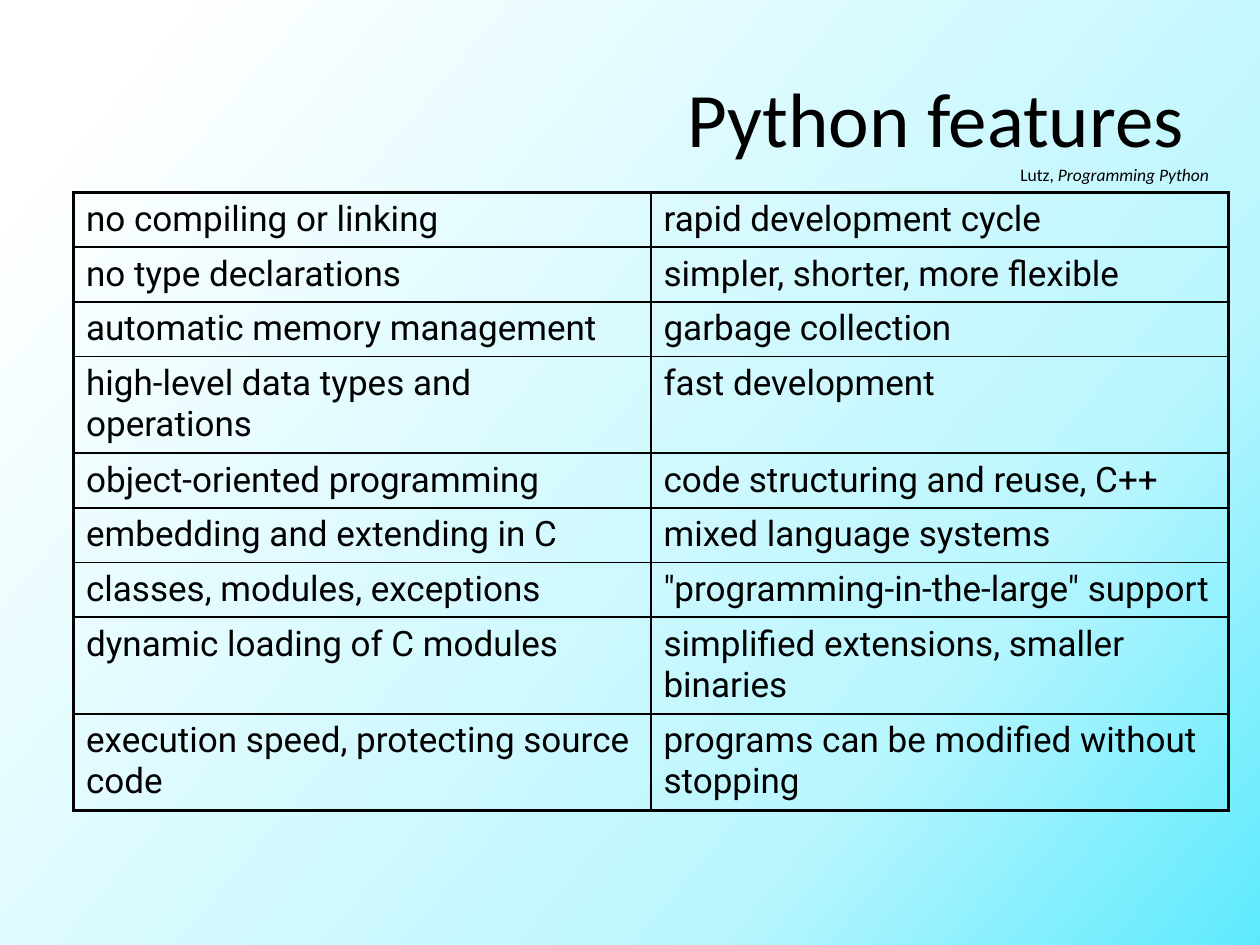
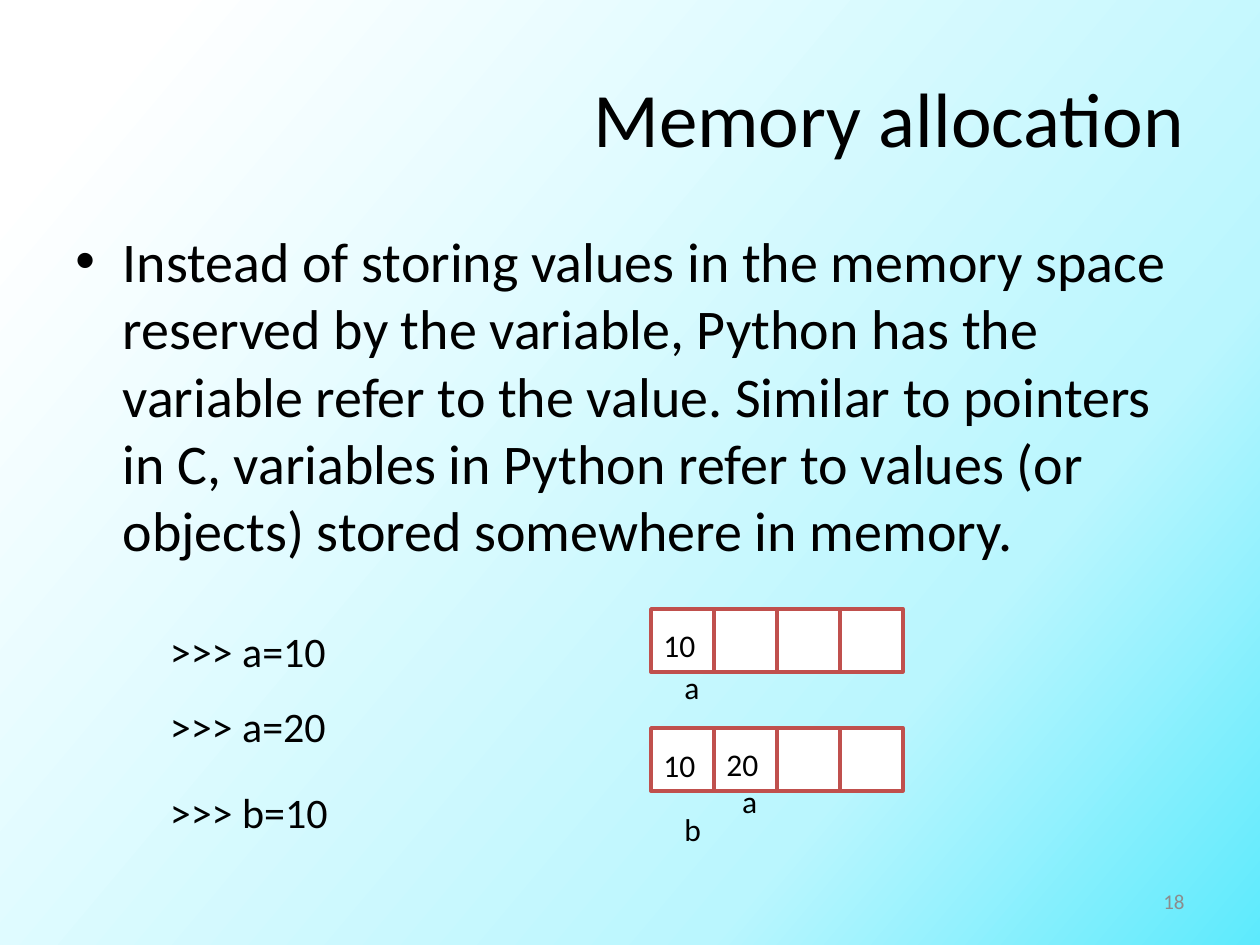
from dataclasses import dataclass
from typing import NamedTuple

from lxml.etree import SubElement
from pptx import Presentation
from pptx.dml.color import RGBColor
from pptx.enum.text import MSO_ANCHOR as Anchor, PP_ALIGN as Align
from pptx.enum.shapes import MSO_SHAPE as Preset
from pptx.oxml.ns import qn
from pptx.presentation import Presentation as Deck
from pptx.slide import Slide
from pptx.text.text import TextFrame
from pptx.util import Pt


# Theme
@dataclass(frozen=True)
class Theme:
    font: str = "Calibri"
    table_font: str = "Roboto"
    ink: str = "000000"
    muted: str = "8C8C8C"
    cell_fill: str = "FFFFFF"
    cell_line: str = "C0504D"
    # Position, colour and opacity, all in percent
    gradient: tuple = ((0, "5DEAFD", 100), (27, "BAF6FE", 66), (92, "FFFFFF", 94))
    title: float = 44
    body: float = 32
    code: float = 24
    table: float = 20
    label: float = 18
    number: float = 12
    citation: float = 10
    outer_border: float = 2.25
    inner_border: float = 1


THEME = Theme()


class Span(NamedTuple):
    text: str
    italic: bool = False


class Box(NamedTuple):
    left: float
    top: float
    width: float
    height: float


class Label(NamedTuple):
    text: str
    box: Box
    size: float


TITLE_BOX = Box(36, 21.6, 648, 90)
CITATION_BOX = Box(576, 90, 124.5, 19.5)
BODY_BOX = Box(36, 126, 648, 356.4)
NUMBER_BOX = Box(516, 500.4, 168, 28.8)
BULLET_INDENT = 27

# Feature table
TABLE_LEFT, TABLE_TOP = 42, 110
COLUMN_WIDTH, ROW_HEIGHT = 330, 20
FEATURES = [
    ("no compiling or linking", "rapid development cycle"),
    ("no type declarations", "simpler, shorter, more flexible"),
    ("automatic memory management", "garbage collection"),
    ("high-level data types and operations", "fast development"),
    ("object-oriented programming", "code structuring and reuse, C++"),
    ("embedding and extending in C", "mixed language systems"),
    ("classes, modules, exceptions", '"programming-in-the-large" support'),
    ("dynamic loading of C modules", "simplified extensions, smaller binaries"),
    ("execution speed, protecting source code",
     "programs can be modified without stopping"),
]

# Memory diagram
MEMORY_LEFT, MEMORY_SIZE, MEMORY_CELLS = 372, 36, 4
MEMORY_TOPS = (348, 416)
MEMORY_TEXT = (
    "Instead of storing values in the memory space reserved by the variable, "
    "Python has the variable refer to the value. Similar to pointers in C, "
    "variables in Python refer to values (or objects) stored somewhere in memory."
)


def code_line(text: str, top: float) -> Label:
    return Label(text, Box(90, top, 120, 36), THEME.code)


def value(text: str, column: int, top: float) -> Label:
    left = MEMORY_LEFT + column * MEMORY_SIZE
    return Label(text, Box(left, top, MEMORY_SIZE, 29), THEME.label)


def variable(text: str, left: float, top: float) -> Label:
    return Label(text, Box(left, top, 18, 29), THEME.label)


MEMORY_LABELS = [
    code_line(">>> a=10", 354),
    code_line(">>> a=20", 396.7),
    code_line(">>> b=10", 445.7),
    value("10", 0, 354),
    value("10", 0, 422.6),
    value("20", 1, 422),
    variable("a", 384, 378),
    variable("a", 417, 443.5),
    variable("b", 384, 459.4),
]


# Drawing helpers
def points(box: Box) -> list[Pt]:
    return [Pt(length) for length in box]


def write(frame: TextFrame, spans: list[Span], size: float,
          color: str = THEME.ink, font: str = THEME.font) -> None:
    para = frame.paragraphs[0]
    for span in spans:
        run = para.add_run()
        run.text = span.text
        run.font.size = Pt(size)
        run.font.name = font
        run.font.color.rgb = RGBColor.from_string(color)
        if span.italic:
            run.font.italic = True


def add_text(slide: Slide, box: Box, spans: list[Span], size: float,
             color: str = THEME.ink, align: Align = Align.LEFT,
             anchor: Anchor = Anchor.TOP) -> TextFrame:
    frame = slide.shapes.add_textbox(*points(box)).text_frame
    frame.word_wrap = True
    frame.vertical_anchor = anchor
    write(frame, spans, size, color)
    frame.paragraphs[0].alignment = align
    return frame


def set_background(deck: Deck) -> None:
    master = deck.slide_master
    fill = master.background.fill
    fill.gradient()
    fill.gradient_angle = 140
    stops = master.element.find(".//" + qn("p:bg")).find(".//" + qn("a:gsLst"))
    for stop in list(stops):
        stops.remove(stop)
    for position, color, opacity in THEME.gradient:
        stop = SubElement(stops, qn("a:gs"), pos=str(position * 1000))
        tint = SubElement(stop, qn("a:srgbClr"), val=color)
        if opacity < 100:
            SubElement(tint, qn("a:alpha"), val=str(opacity * 1000))


def add_titled_slide(deck: Deck, title: str) -> Slide:
    slide = deck.slides.add_slide(deck.slide_layouts[6])
    add_text(slide, TITLE_BOX, [Span(title)], THEME.title,
             align=Align.RIGHT, anchor=Anchor.MIDDLE)
    return slide


def set_bullet(frame: TextFrame, indent: float) -> None:
    properties = frame.paragraphs[0]._p.get_or_add_pPr()
    properties.set("marL", str(Pt(indent)))
    properties.set("indent", str(-Pt(indent)))
    SubElement(properties, qn("a:buFont"), typeface="Arial")
    SubElement(properties, qn("a:buChar"), char="•")


def add_feature_table(slide: Slide) -> None:
    rows, columns = len(FEATURES), len(FEATURES[0])
    box = Box(TABLE_LEFT, TABLE_TOP, columns * COLUMN_WIDTH, rows * ROW_HEIGHT)
    table = slide.shapes.add_table(rows, columns, *points(box)).table
    table.first_row = table.horz_banding = False
    for row, texts in enumerate(FEATURES):
        for column, text in enumerate(texts):
            cell = table.cell(row, column)
            write(cell.text_frame, [Span(text)], THEME.table, font=THEME.table_font)
            # Heavy lines on the outside, thin lines within
            edges = {"a:lnL": column == 0, "a:lnR": column == columns - 1,
                     "a:lnT": row == 0, "a:lnB": row == rows - 1}
            properties = cell._tc.get_or_add_tcPr()
            for tag, is_outer in edges.items():
                width = THEME.outer_border if is_outer else THEME.inner_border
                line = SubElement(properties, qn(tag), w=str(Pt(width)))
                solid = SubElement(line, qn("a:solidFill"))
                SubElement(solid, qn("a:srgbClr"), val=THEME.ink)
            cell.fill.background()


def add_memory_row(slide: Slide, top: float) -> None:
    group = slide.shapes.add_group_shape()
    for column in range(MEMORY_CELLS):
        box = Box(MEMORY_LEFT + column * MEMORY_SIZE, top, MEMORY_SIZE, MEMORY_SIZE)
        cell = group.shapes.add_shape(Preset.RECTANGLE, *points(box))
        cell.shadow.inherit = False
        cell.fill.solid()
        cell.fill.fore_color.rgb = RGBColor.from_string(THEME.cell_fill)
        cell.line.color.rgb = RGBColor.from_string(THEME.cell_line)
        cell.line.width = Pt(2)


# Slides
def build_features(deck: Deck) -> None:
    slide = add_titled_slide(deck, "Python features")
    add_feature_table(slide)
    add_text(slide, CITATION_BOX,
             [Span("Lutz, "), Span("Programming Python", italic=True)], THEME.citation)


def build_memory(deck: Deck) -> None:
    slide = add_titled_slide(deck, "Memory allocation")
    body = add_text(slide, BODY_BOX, [Span(MEMORY_TEXT)], THEME.body)
    set_bullet(body, BULLET_INDENT)
    add_text(slide, NUMBER_BOX, [Span("18")], THEME.number, THEME.muted,
             Align.RIGHT, Anchor.MIDDLE)
    for top in MEMORY_TOPS:
        add_memory_row(slide, top)
    for label in MEMORY_LABELS:
        add_text(slide, label.box, [Span(label.text)], label.size)


def main() -> None:
    deck = Presentation()
    deck.slide_width, deck.slide_height = Pt(720), Pt(540)
    set_background(deck)
    build_features(deck)
    build_memory(deck)
    deck.save("out.pptx")


if __name__ == "__main__":
    main()
